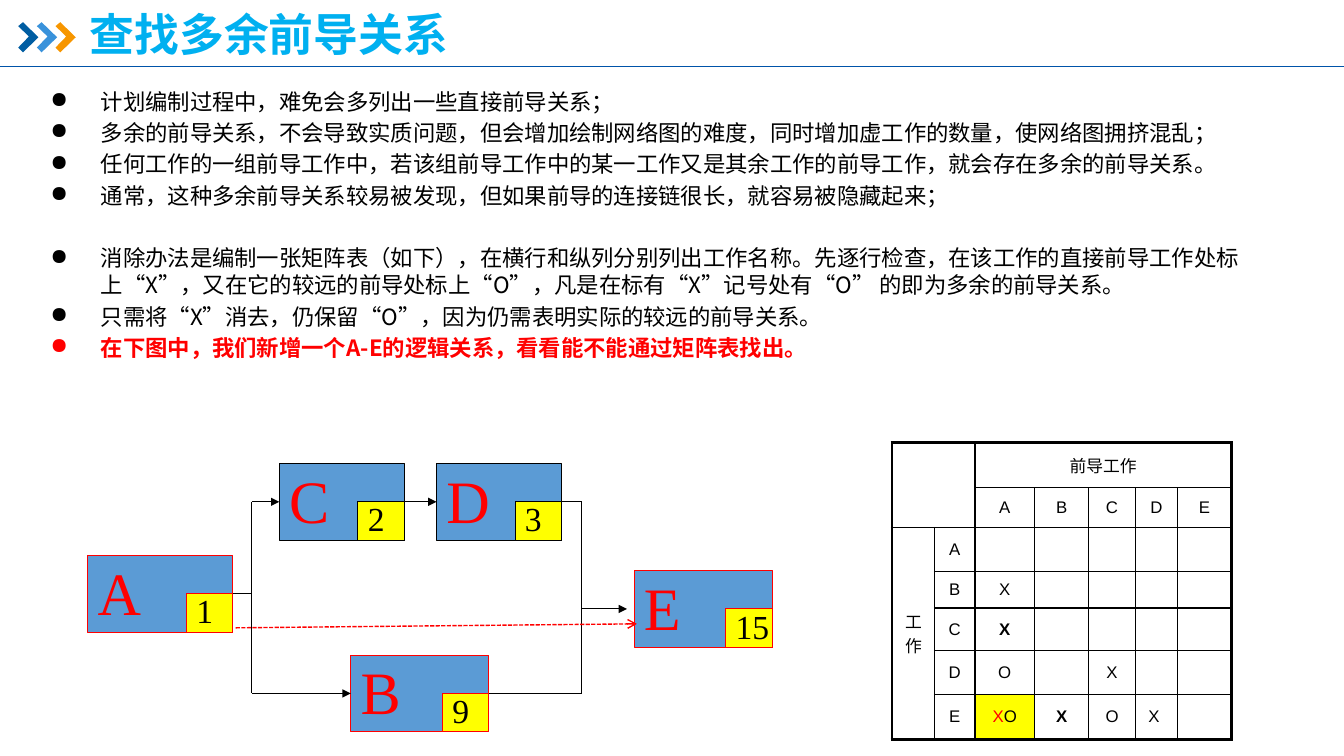
from lxml import etree
from pptx import Presentation
from pptx.dml.color import RGBColor
from pptx.enum.dml import MSO_LINE
from pptx.enum.shapes import MSO_CONNECTOR, MSO_SHAPE
from pptx.enum.text import MSO_ANCHOR, PP_ALIGN
from pptx.oxml.ns import qn
from pptx.util import Cm, Pt

RECT, STRAIGHT, DASH = MSO_SHAPE.RECTANGLE, MSO_CONNECTOR.STRAIGHT, MSO_LINE.SQUARE_DOT
MIDDLE, LEFT, CENTER = MSO_ANCHOR.MIDDLE, PP_ALIGN.LEFT, PP_ALIGN.CENTER
CJK, SANS, SERIF = "Noto Sans CJK SC", "Arial", "Times New Roman"
BLACK, RED, YELLOW, BLUE = "000000", "FF0000", "FFFF00", "5B9BD5"

CHEVRON = [(0, 0.1), (0.12, 0), (0.51, 0.38), (0.12, 0.76), (0, 0.64), (0.27, 0.36)]
POINTS = [
    "计划编制过程中，难免会多列出一些直接前导关系；",
    "多余的前导关系，不会导致实质问题，但会增加绘制网络图的难度，同时增加虚工作的数量，使网络图拥挤混乱；",
    "任何工作的一组前导工作中，若该组前导工作中的某一工作又是其余工作的前导工作，就会存在多余的前导关系。",
    "通常，这种多余前导关系较易被发现，但如果前导的连接链很长，就容易被隐藏起来；",
    "消除办法是编制一张矩阵表（如下），在横行和纵列分别列出工作名称。先逐行检查，在该工作的直接前导工作处标"
    "上“X”，又在它的较远的前导处标上“O”，凡是在标有“X”记号处有“O” 的即为多余的前导关系。",
    "只需将“X”消去，仍保留“O”，因为仍需表明实际的较远的前导关系。",
    "在下图中，我们新增一个A-E的逻辑关系，看看能不能通过矩阵表找出。",
]
METHOD, TASK = 4, 6
NODE_H = 1.93
NODES = [
    ("A", "1", 0, 2.32, 3.66, RED),
    ("B", "9", 6.63, 4.83, 3.48, RED),
    ("C", "2", 4.83, 0, 3.15, BLACK),
    ("D", "3", 8.79, 0, 3.15, BLACK),
    ("E", "15", 13.77, 2.7, 3.48, RED),
]
COLS = [1.07, 1.02, 1.5, 1.37, 1.17, 1.07, 1.35]
ROWS = [1.14, 1, 1.12, 0.91, 1.07, 1.12, 1.12]
MATRIX = [
    ["", "", "前导工作", "", "", "", ""],
    ["", "", "A", "B", "C", "D", "E"],
    ["工作", "A", "", "", "", "", ""],
    ["", "B", "X", "", "", "", ""],
    ["", "C", "X", "", "", "", ""],
    ["", "D", "O", "", "X", "", ""],
    ["", "E", "XO", "X", "O", "X", ""],
]
MERGES = [((0, 0), (1, 1)), ((0, 2), (0, 6)), ((2, 0), (6, 0))]
BOLD_MARKS, REDUNDANT, LEFT_MARK = {(4, 2), (6, 3)}, (6, 2), (6, 5)


def rgb(value):
    """Turn a hex string into a colour."""
    return RGBColor.from_string(value)


def add_run(p, text, size, font, color=BLACK, bold=False):
    """Add one formatted run to a paragraph."""
    r = p.add_run()
    r.text = text
    r.font.size, r.font.bold, r.font.name = Pt(size), bold, font
    r.font.color.rgb = rgb(color)
    etree.SubElement(r.font._element, qn("a:ea")).set("typeface", CJK)


def set_margins(obj, x, top, bottom):
    """Set the insets of a text frame or table cell in centimetres."""
    obj.margin_left = obj.margin_right = Cm(x)
    obj.margin_top, obj.margin_bottom = Cm(top), Cm(bottom)


def add_line(s, start, end, color=BLACK, width=0.75, head=None, dash=None):
    """Draw a straight line with an optional arrowhead at its end."""
    line = s.shapes.add_connector(STRAIGHT, *[Cm(v) for v in (*start, *end)])
    line.line.color.rgb, line.line.width = rgb(color), Pt(width)
    if dash:
        line.line.dash_style = dash
    if head:
        etree.SubElement(line.line._get_or_add_ln(), qn("a:tailEnd")).set("type", head)
    etree.SubElement(line._element.spPr, qn("a:effectLst"))


def add_box(s, x, y, w, h, text, size, color, fill, border):
    """Draw a bordered rectangle with one serif label."""
    sp = s.shapes.add_shape(RECT, Cm(x), Cm(y), Cm(w), Cm(h))
    sp.shadow.inherit = False
    sp.fill.solid()
    sp.fill.fore_color.rgb = rgb(fill)
    sp.line.color.rgb, sp.line.width = rgb(border), Pt(0.75)
    tf = sp.text_frame
    tf.word_wrap, tf.vertical_anchor = False, MIDDLE
    set_margins(tf, 0.25, 0, 0.13)
    tf.paragraphs[0].alignment = LEFT
    add_run(tf.paragraphs[0], text, size, SERIF, color)


def add_header(s, x, y, w, h):
    """Place the chevrons, the title and the rule under them."""
    for i, color in enumerate(("005DA2", "3992DB", "F79600")):
        corners = [(Cm(x + 0.46 + 0.47 * i + dx), Cm(y + 0.56 + dy)) for dx, dy in CHEVRON]
        builder = s.shapes.build_freeform(*corners[0])
        builder.add_line_segments(corners[1:], close=True)
        sp = builder.convert_to_shape()
        sp.shadow.inherit = False
        sp.fill.solid()
        sp.fill.fore_color.rgb = rgb(color)
        sp.line.fill.background()
    add_line(s, (x, y + h), (x + w, y + h), "0054A9", 0.5)
    tf = s.shapes.add_textbox(Cm(x + 2.01), Cm(y + 0.33), Cm(27.38), Cm(1.19)).text_frame
    tf.word_wrap, tf.vertical_anchor = True, MIDDLE
    tf.paragraphs[0].line_spacing = 0.9
    add_run(tf.paragraphs[0], "查找多余前导关系", 32, CJK, "00B0F0", True)


def add_points(s, x, y, w, h):
    """Write the bulleted explanation."""
    tf = s.shapes.add_textbox(Cm(x), Cm(y), Cm(w), Cm(h)).text_frame
    tf.word_wrap = True
    set_margins(tf, 0.33, 0.18, 0.18)
    for i, text in enumerate(POINTS):
        p = tf.paragraphs[0] if i == 0 else tf.add_paragraph()
        p.line_spacing = Pt(19.2)
        p.space_before = Pt(25.6 if i == METHOD else 3.2)
        pPr = p._p.get_or_add_pPr()
        pPr.set("marL", str(Cm(1.27)))
        pPr.set("indent", str(Cm(-1.27)))
        etree.SubElement(pPr, qn("a:buChar")).set("char", "●")
        add_run(p, text, 16, CJK, RED if i == TASK else BLACK, i == TASK)


def add_network(s, x, y):
    """Draw the activity network with its links and the extra A-E link."""
    mid, edge = {}, {}
    for name, days, dx, dy, w, border in NODES:
        left, top = x + dx, y + dy
        add_box(s, left, top, w, NODE_H, name, 43, RED, BLUE, border)
        add_box(s, left + w - 1.17, top + NODE_H / 2, 1.17, NODE_H / 2, days, 24, BLACK, YELLOW, border)
        mid[name], edge[name] = top + NODE_H / 2, (left, left + w)
    fork, join = x + 4.14, x + 12.45
    links = [
        (edge["A"][1], "A", fork, "A", None),
        (fork, "C", fork, "B", None),
        (fork, "C", edge["C"][0], "C", "triangle"),
        (fork, "B", edge["B"][0], "B", "triangle"),
        (edge["C"][1], "C", edge["D"][0], "D", "triangle"),
        (edge["D"][1], "D", join, "D", None),
        (edge["B"][1], "B", join, "B", None),
        (join, "D", join, "B", None),
        (join, "E", x + 13.59, "E", "triangle"),
    ]
    for x1, row1, x2, row2, head in links:
        add_line(s, (x1, mid[row1]), (x2, mid[row2]), head=head)
    add_line(s, (x + 3.73, y + 4.14), (x + 13.84, y + 4.04), RED, 1, "arrow", DASH)


def set_borders(cell, row, col):
    """Rule a cell, with heavier lines on the outside of the table."""
    outer = {
        "a:lnL": col == 0,
        "a:lnR": col + cell.span_width == len(COLS),
        "a:lnT": row == 0,
        "a:lnB": row + cell.span_height == len(ROWS),
    }
    tcPr = cell._tc.get_or_add_tcPr()
    for i, (tag, heavy) in enumerate(outer.items()):
        ln = etree.Element(qn(tag), w=str(Pt(2.25 if heavy else 1)))
        fill = etree.SubElement(ln, qn("a:solidFill"))
        etree.SubElement(fill, qn("a:srgbClr")).set("val", BLACK)
        tcPr.insert(i, ln)


def add_matrix(s, x, y):
    """Build the predecessor matrix."""
    table = s.shapes.add_table(len(ROWS), len(COLS), Cm(x), Cm(y), Cm(sum(COLS)), Cm(sum(ROWS))).table
    table.first_row = table.horz_banding = False
    for column, width in zip(table.columns, COLS):
        column.width = Cm(width)
    for row, height in zip(table.rows, ROWS):
        row.height = Cm(height)
    for first, last in MERGES:
        table.cell(*first).merge(table.cell(*last))
    for i, texts in enumerate(MATRIX):
        for j, text in enumerate(texts):
            cell = table.cell(i, j)
            cell.vertical_anchor = MIDDLE
            set_margins(cell, 0.33, 0.13, 0.13)
            cell.fill.background()
            if (i, j) == REDUNDANT:
                cell.fill.solid()
                cell.fill.fore_color.rgb = rgb(YELLOW)
            set_borders(cell, i, j)
            p = cell.text_frame.paragraphs[0]
            p.alignment = LEFT if (i, j) == LEFT_MARK else CENTER
            p.space_before = Pt(2.4)
            if (i, j) == REDUNDANT:
                add_run(p, "X", 12, SANS, RED)
                add_run(p, "O", 12, SANS)
            elif text:
                add_run(p, text, 12, SANS, bold=(i, j) in BOLD_MARKS)
            else:
                etree.SubElement(p._p, qn("a:endParaRPr")).set("sz", "1200")


def main():
    """Build and save the slide."""
    prs = Presentation()
    prs.slide_width, prs.slide_height = Cm(33.87), Cm(19.05)
    s = prs.slides.add_slide(prs.slide_layouts[6])
    add_header(s, 0, 0, 33.87, 1.68)
    add_points(s, 0.94, 2.03, 31.29, 8.59)
    add_matrix(s, 22.48, 11.15)
    add_network(s, 2.21, 11.68)
    prs.save("out.pptx")


if __name__ == "__main__":
    main()
